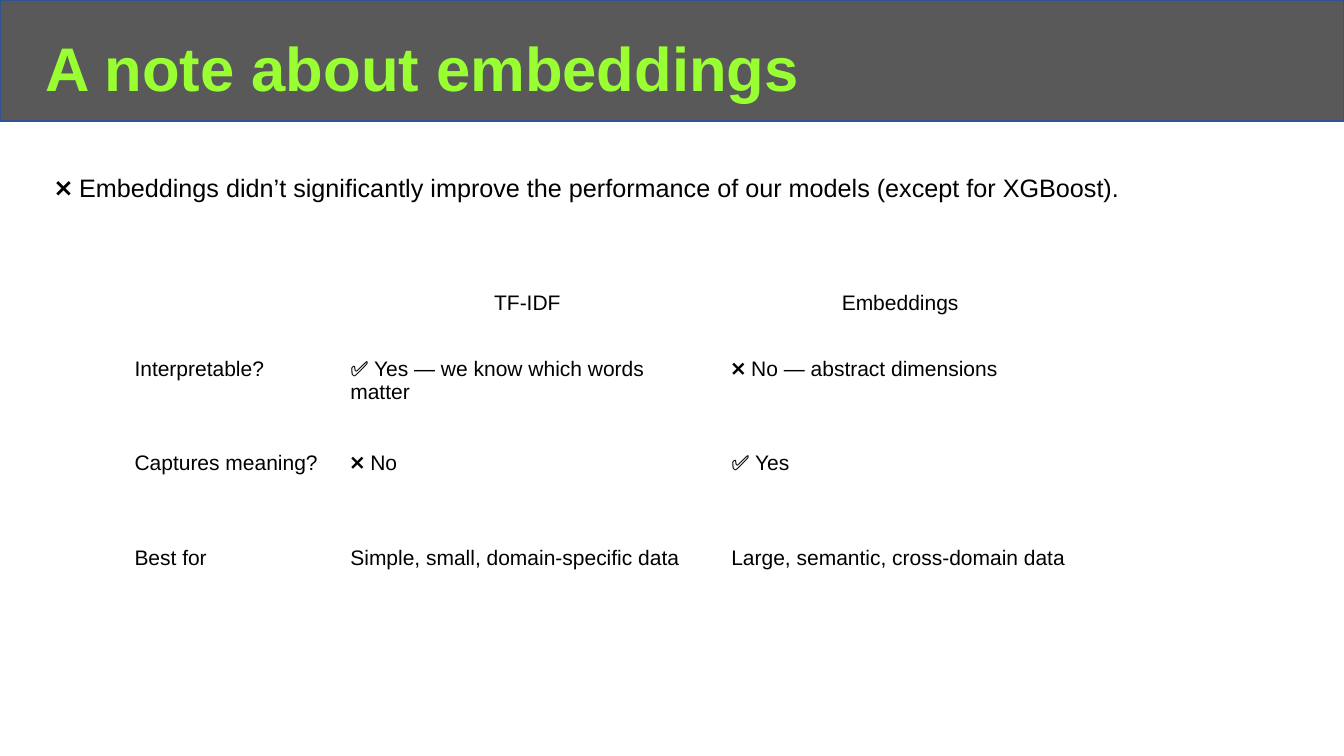
from pptx import Presentation
from pptx.dml.color import RGBColor
from pptx.enum.shapes import MSO_SHAPE as Shape
from pptx.enum.text import MSO_ANCHOR as Anchor, MSO_AUTO_SIZE as AutoSize, PP_ALIGN as Align
from pptx.util import Cm, Pt

BLACK = RGBColor(0x00, 0x00, 0x00)
GREY = RGBColor(0x59, 0x59, 0x59)
BLUE = RGBColor(0x31, 0x53, 0x8F)
GREEN = RGBColor(0x99, 0xFF, 0x33)
TITLE_ONLY = 5
COLUMN_WIDTHS = (5.44, 9.6, 9.19)
ROW_HEIGHTS = (1.73, 2.39, 2.39, 2.39)
COMPARISON = (
    ("", "TF-IDF", "Embeddings"),
    ("Interpretable?", "✅ Yes — we know which words matter", "❌ No — abstract dimensions"),
    ("Captures meaning?", "❌ No", "✅ Yes"),
    ("Best for", "Simple, small, domain-specific data", "Large, semantic, cross-domain data"),
)


def write(frame, text, size, color=BLACK, bold=False, align=Align.LEFT, spacing=1.0, before=0):
    """Put one formatted paragraph into a text frame."""
    frame.word_wrap = True
    para = frame.paragraphs[0]
    para.alignment = align
    para.line_spacing = spacing
    para.space_before = Pt(before)
    span = para.add_run()
    span.text = text
    span.font.name = "Arial"
    span.font.size = Pt(size)
    span.font.bold = bold
    span.font.color.rgb = color


def add_header(page, left, top, width, height):
    """Draw the title band with the title on top of it."""
    band = page.shapes.add_shape(Shape.RECTANGLE, left, top, width, height)
    band.shadow.inherit = False
    band.fill.solid()
    band.fill.fore_color.rgb = GREY
    band.line.color.rgb = BLUE
    band.line.width = Pt(1)
    title = page.shapes.title
    title.element.addprevious(band.element)
    title.left, title.top = left + Cm(0.89), top + Cm(0.74)
    title.width, title.height = width - Cm(2.32), height - Cm(0.94)
    frame = title.text_frame
    frame.auto_size = AutoSize.NONE
    frame.vertical_anchor = Anchor.MIDDLE
    write(frame, "A note about embeddings", 44, color=GREEN, bold=True, spacing=0.9)


def add_finding(page, left, top, width, height):
    """Place the main finding in a text box."""
    box = page.shapes.add_textbox(left, top, width, height)
    write(
        box.text_frame,
        "❌ Embeddings didn’t significantly improve the performance of our models (except for XGBoost).",
        18, spacing=0.95, before=10,
    )


def add_comparison(page, left, top):
    """Place the table that compares the two text representations."""
    width, height = Cm(sum(COLUMN_WIDTHS)), Cm(sum(ROW_HEIGHTS))
    table = page.shapes.add_table(len(ROW_HEIGHTS), len(COLUMN_WIDTHS), left, top, width, height).table
    table.first_row = table.horz_banding = False
    for column, size in zip(table.columns, COLUMN_WIDTHS):
        column.width = Cm(size)
    for row, size, texts in zip(table.rows, ROW_HEIGHTS, COMPARISON):
        row.height = Cm(size)
        heading = texts is COMPARISON[0]
        for cell, text in zip(row.cells, texts):
            cell.fill.background()
            cell.margin_left = cell.margin_right = Cm(0.34)
            cell.margin_top = cell.margin_bottom = Cm(0.34)
            if text:
                write(
                    cell.text_frame, text, 15,
                    align=Align.CENTER if heading else Align.LEFT,
                    spacing=1.15 if heading else 1.0,
                )


def main():
    """Build the slide and save the deck."""
    deck = Presentation()
    deck.slide_width, deck.slide_height = Cm(33.87), Cm(19.05)
    page = deck.slides.add_slide(deck.slide_layouts[TITLE_ONLY])
    add_header(page, 0, 0, deck.slide_width, Cm(3.05))
    add_finding(page, Cm(1.14), Cm(4.27), Cm(31.55), Cm(1.45))
    add_comparison(page, Cm(3.05), Cm(6.93))
    deck.save("out.pptx")


if __name__ == "__main__":
    main()
